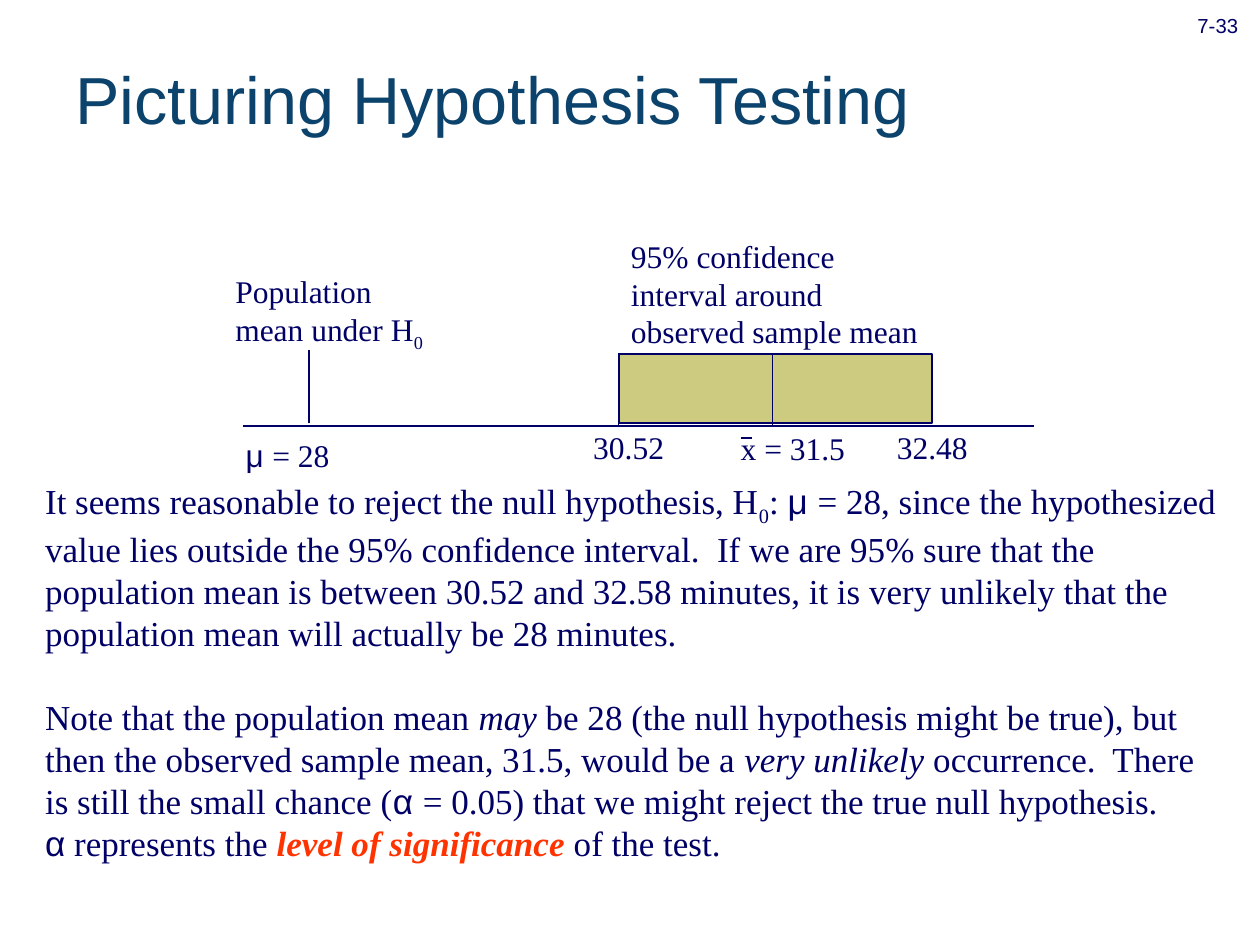
from dataclasses import dataclass

from lxml import etree
from pptx import Presentation
from pptx import util as u
from pptx.dml.color import RGBColor
from pptx.enum import shapes, text
from pptx.oxml.ns import qn

Pt = u.Pt
NAVY = RGBColor(0x00, 0x00, 0x66)
TEAL = RGBColor(0x0C, 0x43, 0x6C)
ORANGE = RGBColor(0xFF, 0x33, 0x00)
KHAKI = RGBColor(0xCD, 0xCB, 0x7F)
SERIF, SANS = "Times New Roman", "Arial"

AXIS_Y = 243.36
INTERVAL_LEFT, INTERVAL_TOP = 353.5, 202.3
PARAGRAPH_GAP = 24


@dataclass(frozen=True)
class Run:
    text: str
    font: str = SERIF
    color: RGBColor = NAVY
    bold: bool = False
    italic: bool = False
    subscript: bool = False


@dataclass(frozen=True)
class Para:
    runs: tuple[Run, ...]
    before: float = 0


@dataclass(frozen=True)
class Box:
    left: float
    top: float
    width: float
    height: float
    paras: tuple[Para, ...]
    size: float = 18
    wrap: bool = True
    grow: bool = True
    align: text.PP_ALIGN = text.PP_ALIGN.LEFT
    anchor: text.MSO_ANCHOR = text.MSO_ANCHOR.TOP


@dataclass(frozen=True)
class Line:
    x1: float
    y1: float
    x2: float
    y2: float


def label(left: float, top: float, width: float, *runs: Run) -> Box:
    """A one-line value under the axis."""
    return Box(left, top, width, 28.8, (Para(runs),), wrap=False)


LINES = (
    Line(139, AXIS_Y, 591, AXIS_Y),
    Line(INTERVAL_LEFT, AXIS_Y, INTERVAL_LEFT, 201.6),
    Line(441.5, AXIS_Y, 441.5, 201.6),
    Line(176.4, 242, 176.4, 200.2),
    Line(423.4, 250.4, 429.8, 250.4),
)

BODY = (
    Para((
        Run("It seems reasonable to reject the null hypothesis, H"),
        Run("0", subscript=True),
        Run(": "),
        Run("μ ", SANS),
        Run("= 28, since the hypothesized value lies outside the 95% confidence "
            "interval.  If we are 95% sure that the population mean is between "
            "30.52 and 32.58 minutes, it is very unlikely that the population "
            "mean will actually be 28 minutes."),
    )),
    Para((
        Run("Note that the population mean "),
        Run("may", italic=True),
        Run(" be 28 (the null hypothesis might be true), but then the observed "
            "sample mean, 31.5, would be a "),
        Run("very unlikely ", italic=True),
        Run("occurrence.  There is still the small chance ("),
        Run("α ", SANS),
        Run("= 0.05) that we might reject the true null hypothesis."),
    ), before=PARAGRAPH_GAP),
    Para((
        Run("α", SANS),
        Run(" represents the "),
        Run("level of significance ", color=ORANGE, bold=True, italic=True),
        Run("of the test."),
    )),
)

BOXES = (
    label(133.2, 245.5, 66.2, Run("μ ", SANS), Run("= 28")),
    label(505.4, 241.2, 54.7, Run("32.48")),
    label(331.9, 241.2, 54.7, Run("30.52")),
    label(416.2, 241.9, 74.2, Run("x = 31.5")),
    Box(127.4, 151.9, 123.8, 53.3,
        (Para((Run("Population mean under H"), Run("0", subscript=True))),)),
    Box(INTERVAL_LEFT, 131.8, 187.2, 72,
        (Para((Run("95% confidence interval around observed sample mean"),)),)),
    Box(18.7, 270.7, 684, 226, BODY, size=20),
    Box(36, 10.8, 667.4, 90,
        (Para((Run("Picturing Hypothesis Testing", SANS, TEAL),)),),
        size=38, grow=False, anchor=text.MSO_ANCHOR.MIDDLE),
    Box(668.9, -9.4, 54, 34.6, (Para((Run("7-33", SANS, subscript=True),)),),
        size=20, align=text.PP_ALIGN.CENTER),
)


def add_run(p, run: Run, size: float) -> None:
    r = p.add_run()
    r.text = run.text
    r.font.name = run.font
    r.font.size = Pt(size)
    r.font.bold = run.bold
    r.font.italic = run.italic
    r.font.color.rgb = run.color
    if run.subscript:
        r._r.get_or_add_rPr().set("baseline", "-25000")


def add_box(s, box: Box) -> None:
    sp = s.shapes.add_textbox(Pt(box.left), Pt(box.top), Pt(box.width), Pt(box.height))
    tf = sp.text_frame
    tf.word_wrap = box.wrap
    tf.vertical_anchor = box.anchor
    fit = text.MSO_AUTO_SIZE
    tf.auto_size = fit.SHAPE_TO_FIT_TEXT if box.grow else fit.NONE
    for i, para in enumerate(box.paras):
        p = tf.add_paragraph() if i else tf.paragraphs[0]
        p.alignment = box.align
        if para.before:
            p.space_before = Pt(para.before)
        for run in para.runs:
            add_run(p, run, box.size)


def add_line(s, line: Line) -> None:
    sp = s.shapes.add_connector(shapes.MSO_CONNECTOR.STRAIGHT, Pt(line.x1),
                                Pt(line.y1), Pt(line.x2), Pt(line.y2))
    sp.line.color.rgb = NAVY
    sp.line.width = Pt(1)
    etree.SubElement(sp._element.spPr, qn("a:effectLst"))


def add_interval(s) -> None:
    sp = s.shapes.add_shape(shapes.MSO_SHAPE.RECTANGLE, Pt(INTERVAL_LEFT),
                            Pt(INTERVAL_TOP), Pt(179.3), Pt(39.6))
    sp.shadow.inherit = False
    sp.fill.solid()
    sp.fill.fore_color.rgb = KHAKI
    sp.line.color.rgb = NAVY
    sp.line.width = Pt(1)


def main() -> None:
    prs = Presentation()
    prs.slide_width, prs.slide_height = Pt(720), Pt(540)
    s = prs.slides.add_slide(prs.slide_layouts[6])
    add_interval(s)
    for line in LINES:
        add_line(s, line)
    for box in BOXES:
        add_box(s, box)
    prs.save("out.pptx")


if __name__ == "__main__":
    main()
